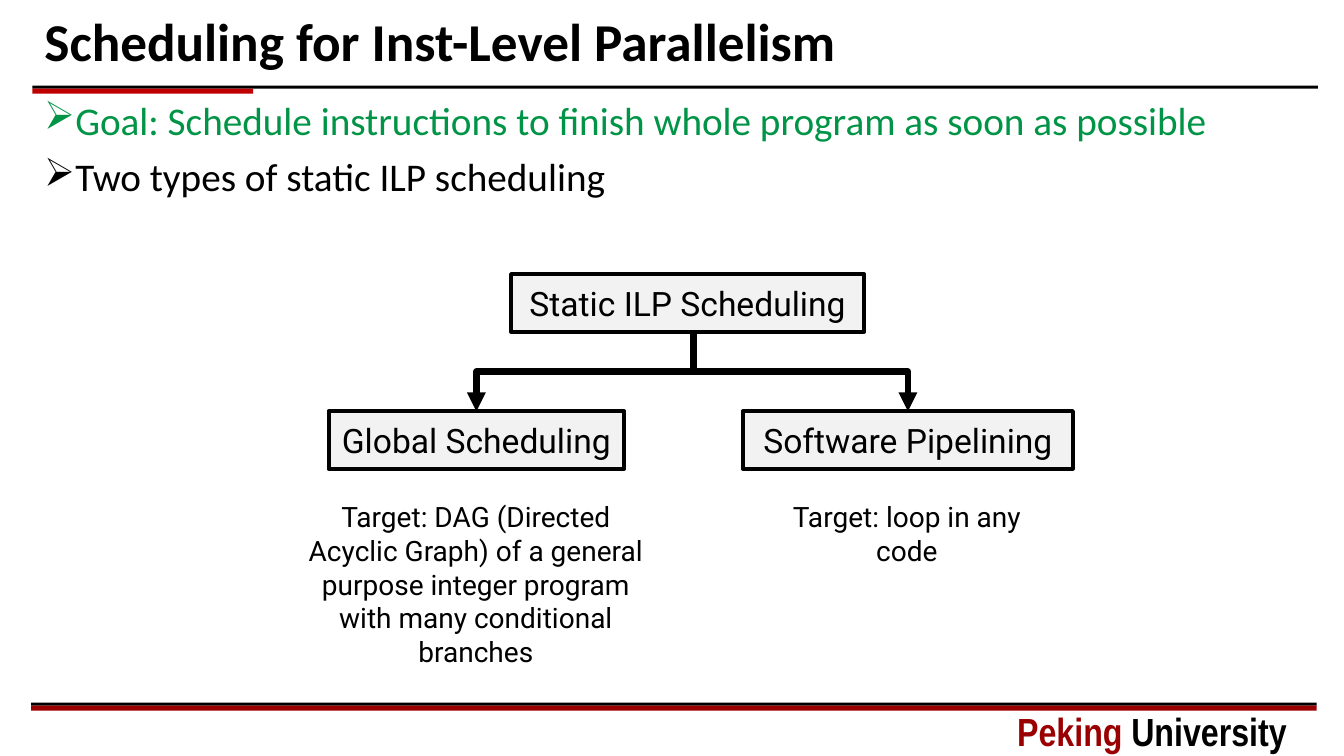
from lxml import etree
from pptx import Presentation
from pptx.dml.color import RGBColor
from pptx.enum.shapes import MSO_CONNECTOR as Connector, MSO_SHAPE as Shape
from pptx.enum.text import MSO_ANCHOR as Anchor, MSO_AUTO_SIZE as AutoSize, PP_ALIGN as Align
from pptx.oxml.ns import qn
from pptx.util import Inches, Pt

COLORS = {
    "black": "000000",
    "accent": "C00000",
    "crimson": "9A0001",
    "goal": "009446",
    "node": "F2F2F2",
}


def rgb(name):
    return RGBColor.from_string(COLORS[name])


def format_runs(paragraph, font, size, color="black", bold=False):
    for run in paragraph.runs:
        run.font.name = font
        run.font.size = Pt(size)
        run.font.bold = bold
        run.font.color.rgb = rgb(color)


def add_text_frame(slide, left, top, width, height):
    box = slide.shapes.add_textbox(Inches(left), Inches(top), Inches(width), Inches(height))
    box.text_frame.word_wrap = True
    return box.text_frame


def add_bar(slide, left, top, width, height, color):
    bar = slide.shapes.add_shape(
        Shape.RECTANGLE, Inches(left), Inches(top), Inches(width), Inches(height))
    bar.shadow.inherit = False
    bar.fill.solid()
    bar.fill.fore_color.rgb = rgb(color)
    bar.line.fill.background()


def add_double_rule(slide, left, top, width, accent_width, accent):
    add_bar(slide, left, top, width, 0.03, "black")
    add_bar(slide, left, top + 0.03, accent_width, 0.05, accent)


def add_header(slide, left, top, width, height):
    title = slide.shapes.title
    title.left, title.top = Inches(left), Inches(top)
    title.width, title.height = Inches(width), Inches(height)
    frame = title.text_frame
    frame.text = "Scheduling for Inst-Level Parallelism"
    frame.auto_size = AutoSize.NONE
    frame.vertical_anchor = Anchor.MIDDLE
    heading = frame.paragraphs[0]
    heading.alignment = Align.LEFT
    heading.line_spacing = 0.9
    format_runs(heading, "Calibri", 38, bold=True)
    add_double_rule(slide, left - 0.02, top + height, 12.75, 2.19, "accent")


def add_bullets(slide, left, top, width, height, points):
    frame = add_text_frame(slide, left, top, width, height)
    for index, (wording, color) in enumerate(points):
        point = frame.add_paragraph() if index else frame.paragraphs[0]
        point.text = wording
        point.line_spacing = 0.9
        point.space_before = Pt(10 if index else 0)
        properties = point._p.get_or_add_pPr()
        properties.set("marL", str(Inches(0.25)))
        properties.set("indent", str(-Inches(0.25)))
        etree.SubElement(properties, qn("a:buChar")).set("char", "➢")
        format_runs(point, "Calibri", 28, color)


def add_node(slide, left, top, width, label):
    node = slide.shapes.add_shape(
        Shape.ROUNDED_RECTANGLE, Inches(left), Inches(top), Inches(width), Inches(0.57))
    node.adjustments[0] = 0
    node.shadow.inherit = False
    node.fill.solid()
    node.fill.fore_color.rgb = rgb("node")
    node.line.color.rgb = rgb("black")
    node.line.width = Pt(3)
    frame = node.text_frame
    frame.text = label
    frame.vertical_anchor = Anchor.MIDDLE
    frame.paragraphs[0].alignment = Align.CENTER
    format_runs(frame.paragraphs[0], "Roboto", 24)


def add_branch(slide, start_x, start_y, end_x, end_y):
    half_drop = (end_y - start_y) / 2
    half_span = abs(end_x - start_x) / 2
    center_x, center_y = (start_x + end_x) / 2, (start_y + end_y) / 2
    side = 1 if end_x > start_x else -1
    branch = slide.shapes.add_connector(
        Connector.ELBOW,
        Inches(center_x + side * half_drop), Inches(center_y - half_span),
        Inches(center_x - side * half_drop), Inches(center_y + half_span))
    branch.line.color.rgb = rgb("black")
    branch.line.width = Pt(4.5)
    properties = branch._element.spPr
    properties.find(qn("a:xfrm")).set("rot", str((270 if side > 0 else 90) * 60000))
    etree.SubElement(properties.find(qn("a:ln")), qn("a:tailEnd")).set("type", "triangle")
    etree.SubElement(properties, qn("a:effectLst"))


def add_target(slide, left, top, width, height, wording):
    frame = add_text_frame(slide, left, top, width, height)
    frame.text = wording
    frame.paragraphs[0].alignment = Align.CENTER
    format_runs(frame.paragraphs[0], "Roboto", 20)


def add_scheduling_tree(slide, left, top):
    root_x, root_bottom, child_top = left + 4.04, top + 0.57, top + 1.36
    children = [
        (left + 0.42, 2.93, "Global Scheduling", left, 3.76, 1.45,
         "Target: DAG (Directed Acyclic Graph) of a general purpose integer program "
         "with many conditional branches"),
        (left + 4.53, 3.27, "Software Pipelining", left + 4.59, 3.13, 0.44,
         "Target: loop in any code"),
    ]
    for node_left, node_width, label, text_left, text_width, text_height, target in children:
        add_node(slide, node_left, child_top, node_width, label)
        add_branch(slide, root_x, root_bottom, node_left + node_width / 2, child_top)
        add_target(slide, text_left, child_top + 0.83, text_width, text_height, target)
    add_node(slide, left + 2.23, top, 3.5, "Static ILP Scheduling")


def add_footer(slide, left, top, width):
    add_double_rule(slide, left, top, width, width, "crimson")
    frame = add_text_frame(slide, left + 9.68, top, 3.16, 0.57)
    signature = frame.paragraphs[0]
    for wording in ("Peking ", "University"):
        signature.add_run().text = wording
    format_runs(signature, "Arial Narrow", 28, bold=True)
    signature.runs[0].font.color.rgb = rgb("crimson")


def main():
    deck = Presentation()
    deck.slide_width, deck.slide_height = Inches(13.33), Inches(7.5)
    slide = deck.slides.add_slide(deck.slide_layouts[5])
    add_header(slide, 0.34, 0.02, 12.69, 0.83)
    add_footer(slide, 0.31, 6.97, 12.75)
    add_bullets(slide, 0.34, 0.96, 12.69, 1.2, [
        ("Goal: Schedule instructions to finish whole program as soon as possible", "goal"),
        ("Two types of static ILP scheduling", "black"),
    ])
    add_scheduling_tree(slide, 2.84, 2.72)
    deck.save("out.pptx")


if __name__ == "__main__":
    main()
